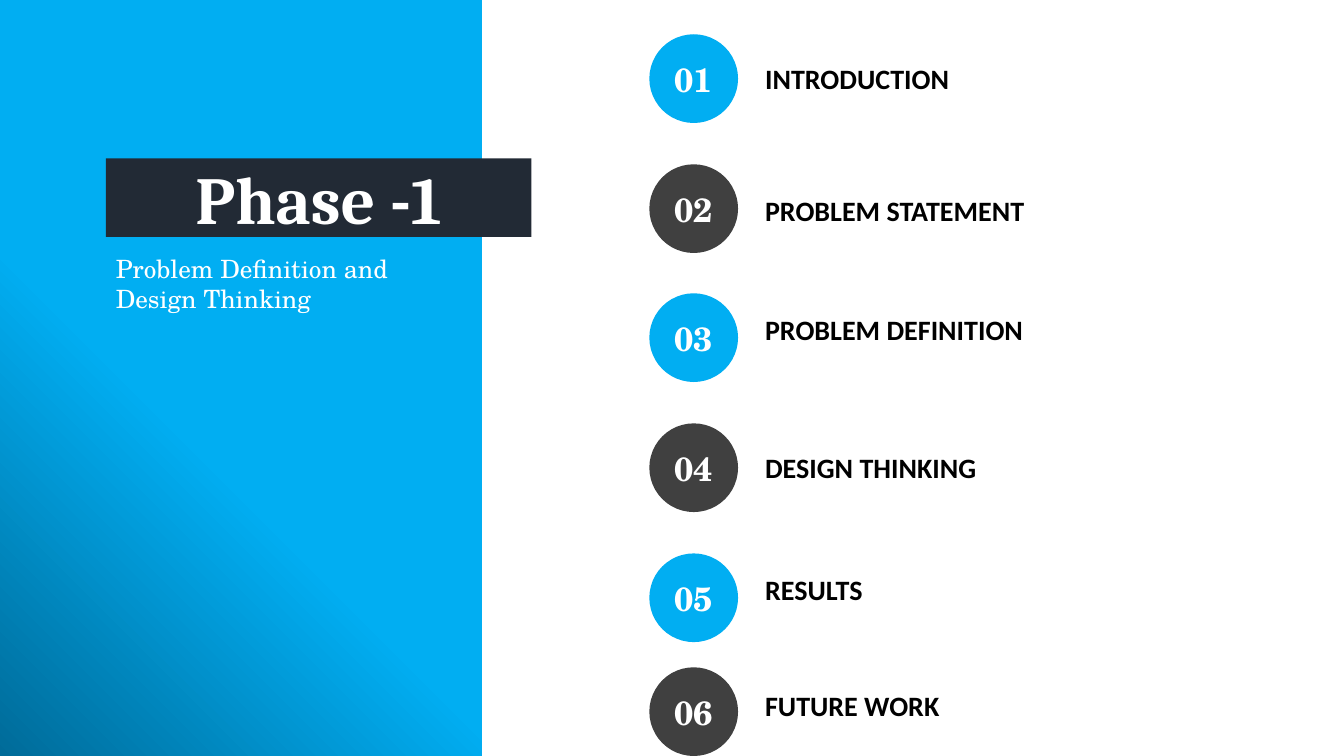
"""Builds the Phase -1 agenda slide with six numbered topics."""
import pptx
import pptx.dml.color
import pptx.enum.shapes
import pptx.enum.text
import pptx.oxml
import pptx.oxml.ns
import pptx.util
from pptx.util import Inches

COLORS = {"blue": "01AEF2", "deep": "006B99", "navy": "222A35",
          "gray": "404040", "white": "FFFFFF", "black": "000000"}
SHAPES = pptx.enum.shapes.MSO_SHAPE
ALIGN = pptx.enum.text.PP_ALIGN


def rgb(name):
    return pptx.dml.color.RGBColor.from_string(COLORS[name])


def add_item(kind, box, fill=None, text="", size=20, font="Calibri", color="white", bold=True):
    at = [Inches(v) for v in box]
    if kind is None:
        sp = s.shapes.add_textbox(*at)
    else:
        sp = s.shapes.add_shape(kind, *at)
        sp.shadow.inherit = False
        sp.line.fill.background()
    if fill:
        sp.fill.solid()
        sp.fill.fore_color.rgb = rgb(fill)
    if text:
        tf = sp.text_frame
        tf.word_wrap = True
        tf.text = text
        p = tf.paragraphs[0]
        if kind is not None:
            tf.vertical_anchor = pptx.enum.text.MSO_ANCHOR.MIDDLE
            p.alignment = ALIGN.CENTER
        r = p.runs[0]
        r.font.size = pptx.util.Pt(size)
        r.font.name = font
        r.font.bold = bold
        r.font.color.rgb = rgb(color)
    return sp


prs = pptx.Presentation()
prs.slide_width, prs.slide_height = Inches(13.33), Inches(7.5)
s = prs.slides.add_slide(prs.slide_layouts[6])

panel = add_item(SHAPES.RECTANGLE, (0, 0, 4.78, 7.5))
panel.fill.gradient()
for stop, position, color in zip(panel.fill.gradient_stops, (0.59, 1), ("blue", "deep")):
    stop.position = position
    stop.color.rgb = rgb(color)
lin = panel._element.spPr.find(".//" + pptx.oxml.ns.qn("a:lin"))
lin.getparent().replace(lin, pptx.oxml.parse_xml(
    f'<a:path {pptx.oxml.ns.nsdecls("a")} path="circle">'
    '<a:fillToRect l="100000" b="100000"/></a:path>'))

add_item(SHAPES.RECTANGLE, (1.05, 1.57, 4.22, 0.78), "navy", "Phase -1", 48, "Cambria")
add_item(None, (1.05, 2.46, 3.72, 0.71), None, "Problem Definition and Design Thinking",
         18, "TeX Gyre Schola", bold=False)

topics = [("INTRODUCTION", 0.34, 0.56), ("PROBLEM STATEMENT", 1.63, 1.87),
          ("PROBLEM DEFINITION", 2.91, 3.05), ("DESIGN THINKING", 4.2, 4.42),
          ("RESULTS", 5.49, 5.63), ("FUTURE WORK", 6.62, 6.78)]
for i, (topic, circle_top, label_top) in enumerate(topics):
    add_item(SHAPES.OVAL, (6.44, circle_top, 0.88, 0.88), ("blue", "gray")[i % 2],
             f"{i + 1:02d}", 24, "TeX Gyre Schola")
    add_item(None, (7.49, label_top, 4.24, 0.44), text=topic, color="black")

prs.save("out.pptx")
